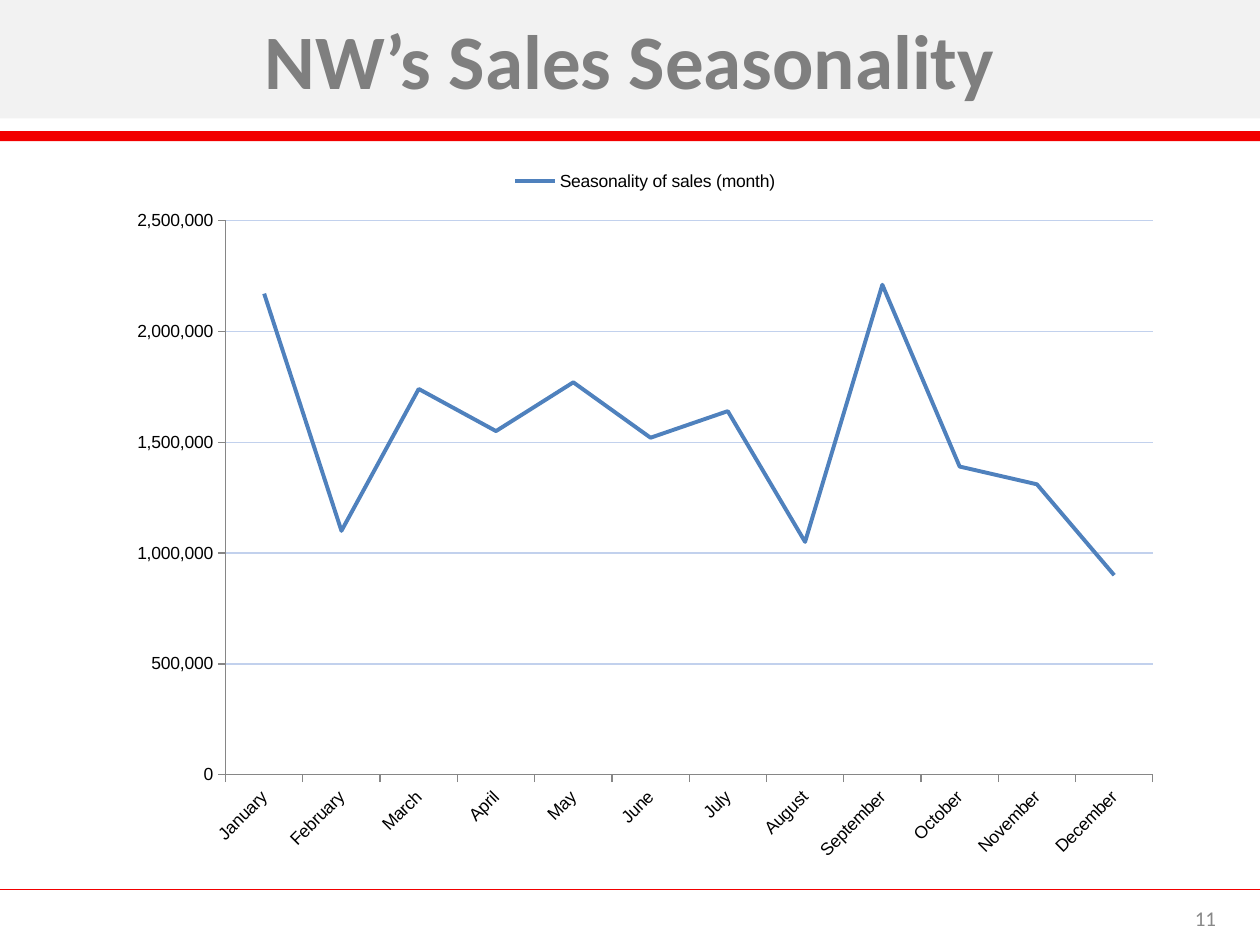
from typing import NamedTuple

from lxml import etree
from pptx import Presentation
from pptx.chart import data as chart_data
from pptx.dml.color import RGBColor
from pptx.enum import chart as charts, shapes, text
from pptx.oxml import ns
from pptx.util import Inches, Pt

RED = "F20000"
AXIS_GRAY = "868686"


class Box(NamedTuple):
    left: float
    top: float
    width: float
    height: float

    def lengths(self) -> list:
        return [Inches(value) for value in self]


class MonthSales(NamedTuple):
    month: str
    sales: int


CHART = Box(0.92, 1.25, 8.4, 5.68)
PLOT = Box(1.79, 1.75, 7.36, 4.4)
SEASONALITY = [
    MonthSales("January", 2170000),
    MonthSales("February", 1100000),
    MonthSales("March", 1740000),
    MonthSales("April", 1550000),
    MonthSales("May", 1770000),
    MonthSales("June", 1520000),
    MonthSales("July", 1640000),
    MonthSales("August", 1050000),
    MonthSales("September", 2210000),
    MonthSales("October", 1390000),
    MonthSales("November", 1310000),
    MonthSales("December", 900000),
]


def color(hex_value: str) -> RGBColor:
    return RGBColor.from_string(hex_value)


def fill(target, hex_value: str) -> None:
    target.fill.solid()
    target.fill.fore_color.rgb = color(hex_value)


def style_line(line, hex_value: str, width: float) -> None:
    fill(line, hex_value)
    line.width = Pt(width)


def write(shape, wording: str, *, size: float, hex_value: str, align,
          bold: bool = False) -> None:
    frame = shape.text_frame
    frame.word_wrap = True
    frame.auto_size = text.MSO_AUTO_SIZE.NONE
    frame.vertical_anchor = text.MSO_ANCHOR.MIDDLE
    paragraph = frame.paragraphs[0]
    paragraph.alignment = align
    run = paragraph.add_run()
    run.text = wording
    run.font.name = "Calibri"
    run.font.size = Pt(size)
    run.font.bold = bold
    run.font.color.rgb = color(hex_value)


def add_title(slide, wording: str) -> None:
    title = slide.shapes.title
    title.left, title.top, title.width, title.height = Box(0, -0.01, 10, 0.95).lengths()
    fill(title, "F2F2F2")
    write(title, wording, size=44, hex_value="7F7F7F",
          align=text.PP_ALIGN.CENTER, bold=True)


def add_rules(slide) -> None:
    """Draw the thick bar under the title and the thin footer line."""
    bar = slide.shapes.add_shape(shapes.MSO_SHAPE.RECTANGLE, *Box(0, 1.04, 10, 0.08).lengths())
    bar.shadow.inherit = False
    fill(bar, RED)
    bar.line.fill.background()

    footer = slide.shapes.add_connector(
        shapes.MSO_CONNECTOR.STRAIGHT, Inches(0), Inches(7.06), Inches(10), Inches(7.06))
    style_line(footer.line, RED, 0.75)
    etree.SubElement(footer._element.spPr, ns.qn("a:effectLst"))
    footer._element.remove(footer._element.find(ns.qn("p:style")))


def place_plot(chart) -> None:
    """Fix the inner plot area as fractions of the chart."""
    area = {
        "x": (PLOT.left - CHART.left) / CHART.width,
        "y": (PLOT.top - CHART.top) / CHART.height,
        "w": PLOT.width / CHART.width,
        "h": PLOT.height / CHART.height,
    }
    plot_area = chart._chartSpace.chart.plotArea
    for old in plot_area.findall(ns.qn("c:layout")):
        plot_area.remove(old)
    layout = etree.Element(ns.qn("c:layout"))
    manual = etree.SubElement(layout, ns.qn("c:manualLayout"))
    settings = {"layoutTarget": "inner", "xMode": "edge", "yMode": "edge", **area}
    for tag, value in settings.items():
        etree.SubElement(manual, ns.qn(f"c:{tag}")).set("val", str(value))
    plot_area.insert(0, layout)


def add_sales_chart(slide) -> None:
    sales = chart_data.CategoryChartData(number_format="#,##0")
    sales.categories = [entry.month for entry in SEASONALITY]
    sales.add_series("Seasonality of sales (month)", [entry.sales for entry in SEASONALITY])
    chart = slide.shapes.add_chart(
        charts.XL_CHART_TYPE.LINE_STACKED, *CHART.lengths(), sales).chart

    chart.has_title = False
    chart.font.name = "Arial"
    chart.font.size = Pt(10)
    chart.font.color.rgb = color("000000")
    chart.has_legend = True
    chart.legend.position = charts.XL_LEGEND_POSITION.TOP
    chart.legend.include_in_layout = False
    place_plot(chart)

    plot = chart.plots[0]
    plot.vary_by_categories = False
    series = plot.series[0]
    series.smooth = False
    series.marker.style = charts.XL_MARKER_STYLE.NONE
    style_line(series.format.line, "4F81BD", 2.25)

    for axis in (chart.category_axis, chart.value_axis):
        axis.major_tick_mark = charts.XL_TICK_MARK.OUTSIDE
        axis.minor_tick_mark = charts.XL_TICK_MARK.NONE
        style_line(axis.format.line, AXIS_GRAY, 0.75)
        axis.tick_labels.font.size = Pt(10)

    months = chart.category_axis
    months.has_major_gridlines = False
    months._element.find(ns.qn("c:txPr")).find(ns.qn("a:bodyPr")).set("rot", "-2700000")

    amounts = chart.value_axis
    amounts.minimum_scale, amounts.maximum_scale = 0, 2500000
    amounts.major_unit = 500000
    amounts.has_major_gridlines = True
    style_line(amounts.major_gridlines.format.line, "C2D1ED", 0.75)
    amounts.tick_labels.number_format = "#,##0"
    amounts.tick_labels.number_format_is_linked = False


def add_page_number(slide, number: str) -> None:
    page = slide.shapes.add_textbox(*Box(8.58, 7.15, 1.17, 0.27).lengths())
    write(page, number, size=12, hex_value="888888", align=text.PP_ALIGN.RIGHT)


def main() -> None:
    deck = Presentation()
    deck.slide_width, deck.slide_height = Inches(10), Inches(7.5)
    slide = deck.slides.add_slide(deck.slide_layouts.get_by_name("Title Only"))
    add_rules(slide)
    add_title(slide, "NW’s Sales Seasonality")
    add_sales_chart(slide)
    add_page_number(slide, "11")
    deck.save("out.pptx")


if __name__ == "__main__":
    main()
